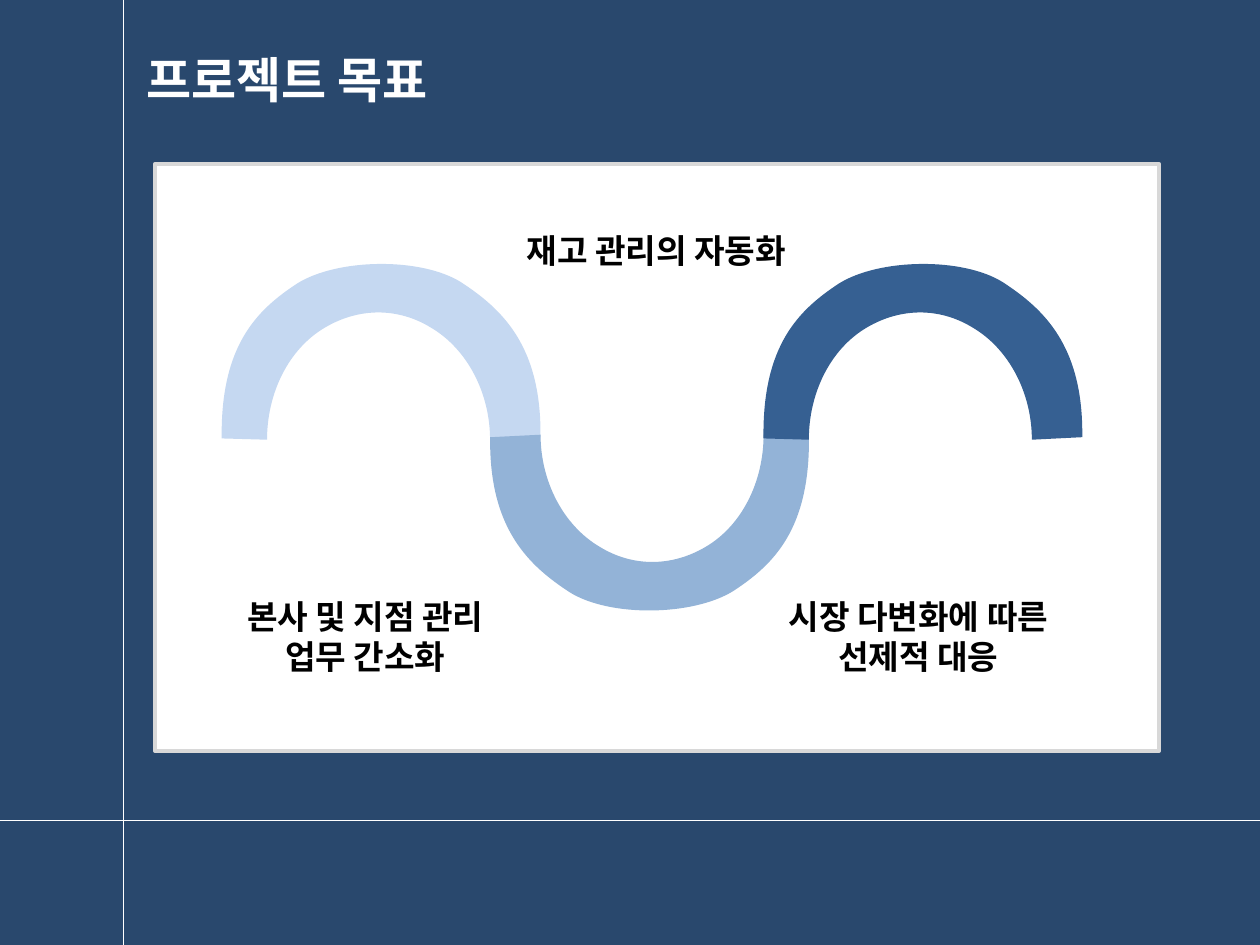
from lxml import etree
from pptx import Presentation
from pptx import util as u
from pptx.dml.color import RGBColor
from pptx.enum import shapes, text
from pptx.oxml.ns import qn

FONT = "Noto Sans CJK KR"


def paint(color_format, hex_color):
    color_format.rgb = RGBColor.from_string(hex_color)


def add_label(slide, box, lines, size, color, inset_y):
    label = slide.shapes.add_textbox(*[u.Inches(v) for v in box])
    frame = label.text_frame
    frame.word_wrap = True
    frame.auto_size = text.MSO_AUTO_SIZE.SHAPE_TO_FIT_TEXT
    frame.margin_left = frame.margin_right = u.Inches(0.1)
    frame.margin_top = frame.margin_bottom = u.Inches(inset_y)
    for i, line in enumerate(lines):
        paragraph = frame.add_paragraph() if i else frame.paragraphs[0]
        paragraph.alignment = text.PP_ALIGN.CENTER
        run = paragraph.add_run()
        run.text = line
        run.font.size = u.Pt(size)
        run.font.bold = True
        paint(run.font.color, color)
        run.font.name = FONT
        # Korean glyphs take the East Asian font
        etree.SubElement(run.font._element, qn("a:ea"), typeface=FONT)


prs = Presentation()
prs.slide_width, prs.slide_height = u.Inches(10), u.Inches(7.5)
slide = prs.slides.add_slide(prs.slide_layouts[6])
slide.background.fill.solid()
paint(slide.background.fill.fore_color, "29486D")

# White panel
panel = slide.shapes.add_shape(
    shapes.MSO_SHAPE.FLOWCHART_PROCESS,
    u.Inches(1.23), u.Inches(1.3), u.Inches(7.97), u.Inches(4.66))
panel.shadow.inherit = False
panel.fill.solid()
paint(panel.fill.fore_color, "FFFFFF")
paint(panel.line.color, "D8D8D8")
panel.line.width = u.Pt(2)

# Crossing guide lines
for ends in [(0, 6.51, 10, 6.51), (0.98, 0, 0.98, 7.5)]:
    guide = slide.shapes.add_connector(
        shapes.MSO_CONNECTOR.STRAIGHT, *[u.Inches(v) for v in ends])
    paint(guide.line.color, "FFFFFF")
    guide.line.width = u.Pt(0.75)
    etree.SubElement(guide._element.spPr, qn("a:effectLst"))

# Goal labels
for box, lines in [
    ((1.67, 4.63, 2.46, 0.84), ["본사 및 지점 관리", "업무 간소화"]),
    ((3.98, 1.73, 2.46, 0.52), ["재고 관리의 자동화"]),
    ((6.06, 4.63, 2.46, 0.84), ["시장 다변화에 따른 선제적 대응"]),
]:
    add_label(slide, box, lines, 19, "000000", 0.1)

# Wave of three arches; outline in hundredths of an inch
ARCH_W, ARCH_H = 253, 140
ARCH = [
    ("moveTo", [(0, 139)]),
    ("cubicBezTo", [(-1, 65), (28, 37), (60, 16)]),
    ("cubicBezTo", [(92, -4), (158, -5), (190, 15)]),
    ("cubicBezTo", [(222, 36), (254, 65), (253, 138)]),
    ("lnTo", [(213, 140)]),
    ("cubicBezTo", [(213, 103), (195, 68), (166, 51)]),
    ("cubicBezTo", [(140, 35), (109, 35), (82, 51)]),
    ("cubicBezTo", [(53, 68), (36, 103), (36, 140)]),
    ("close", []),
]
for left, top, rotation, color in [
    (1.76, 2.09, 0, "C5D8F1"),
    (3.89, 3.45, 180, "93B3D7"),
    (6.06, 2.09, 0, "366092"),
]:
    builder = slide.shapes.build_freeform(0, 0, scale=u.Inches(0.01))
    builder.add_line_segments([(ARCH_W, 0), (ARCH_W, ARCH_H), (0, ARCH_H)])
    arch = builder.convert_to_shape(u.Inches(left), u.Inches(top))
    # Swap the straight outline for curves
    outline = next(arch._element.iter(qn("a:path")))
    for segment in list(outline):
        outline.remove(segment)
    for command, points in ARCH:
        segment = etree.SubElement(outline, qn(f"a:{command}"))
        for x, y in points:
            etree.SubElement(segment, qn("a:pt"), x=str(x), y=str(y))
    arch.rotation = rotation
    arch.shadow.inherit = False
    arch.fill.solid()
    paint(arch.fill.fore_color, color)
    arch.line.fill.background()

# Title
add_label(slide, (0.83, 0.34, 2.9, 0.57), ["프로젝트 목표"], 28, "FFFFFF", 0.05)

prs.save("out.pptx")
